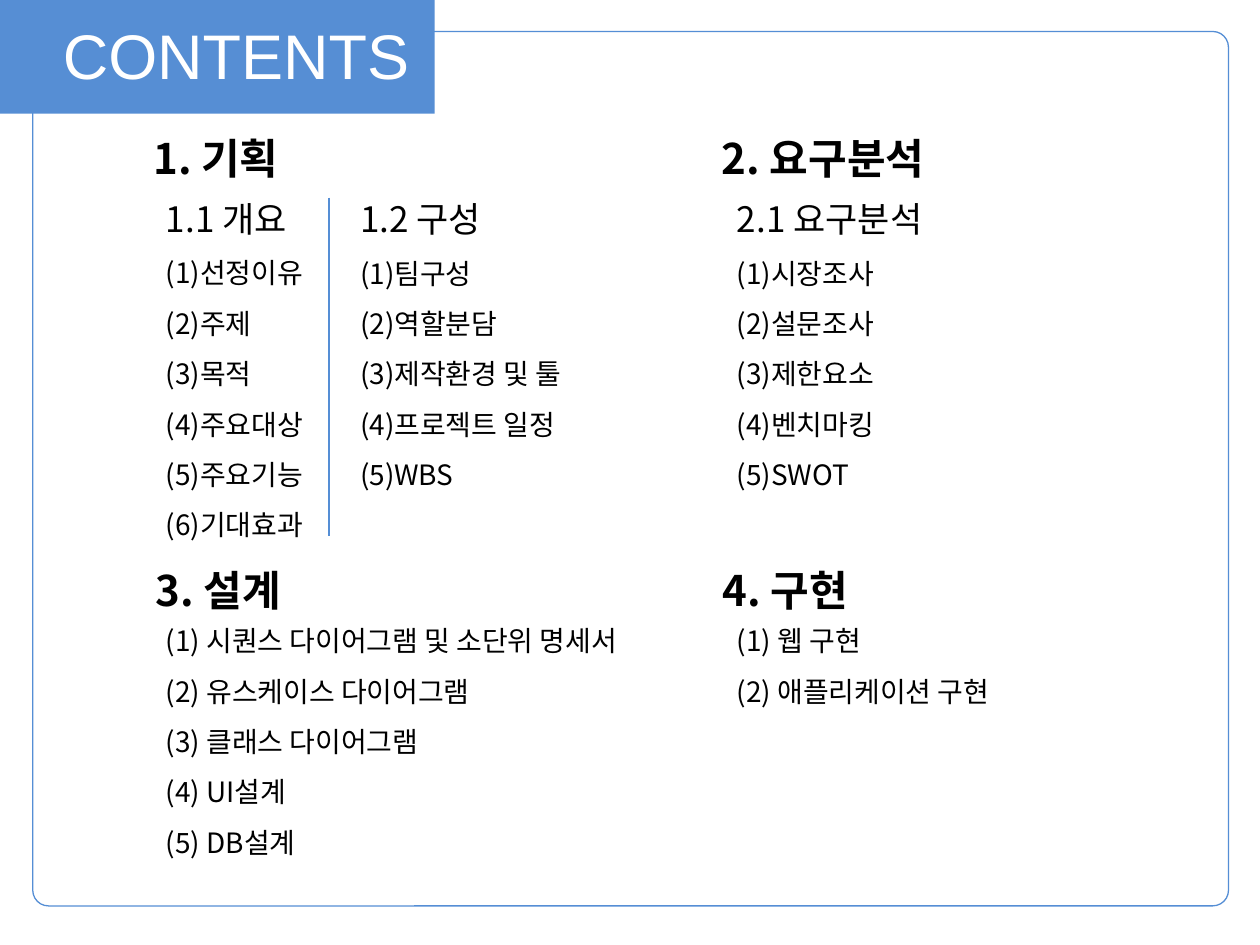
from pptx import Presentation
from pptx.dml.color import RGBColor
from pptx.enum.shapes import MSO_CONNECTOR, MSO_SHAPE
from pptx.enum.text import MSO_AUTO_SIZE
from pptx.oxml.ns import qn
from pptx.util import Pt
from lxml import etree

RECT = MSO_SHAPE.RECTANGLE
ROUNDED = MSO_SHAPE.ROUNDED_RECTANGLE
STRAIGHT = MSO_CONNECTOR.STRAIGHT
GROW = MSO_AUTO_SIZE.SHAPE_TO_FIT_TEXT

BLUE = RGBColor(0x56, 0x8E, 0xD4)
LINE_BLUE = RGBColor(0x55, 0x8E, 0xD5)
WHITE = RGBColor(0xFF, 0xFF, 0xFF)
BLACK = RGBColor(0, 0, 0)
KOREAN = "Noto Sans CJK KR"

prs = Presentation()
prs.slide_width, prs.slide_height = Pt(720), Pt(540)
slide = prs.slides.add_slide(prs.slide_layouts[6])
shapes = slide.shapes


def add_text(left, top, width, height, lines, font=KOREAN, color=BLACK, bold=None, spacing=1.5):
    """Add a text box; lines holds (text, size) pairs, one per paragraph."""
    frame = shapes.add_textbox(Pt(left), Pt(top), Pt(width), Pt(height)).text_frame
    frame.word_wrap = True
    frame.auto_size = GROW
    for i, (text, size) in enumerate(lines):
        paragraph = frame.add_paragraph() if i else frame.paragraphs[0]
        paragraph.text = text
        paragraph.line_spacing = spacing
        paragraph.font.name = font
        paragraph.font.size = Pt(size)
        paragraph.font.bold = bold
        paragraph.font.color.rgb = color
        # East Asian typeface for the Hangul
        props = paragraph._p.pPr.find(qn("a:defRPr"))
        etree.SubElement(props, qn("a:ea"), typeface=font)


# Page border, white at 84 % opacity
border = shapes.add_shape(ROUNDED, Pt(18.7), Pt(18), Pt(683.3), Pt(499.7))
border.adjustments[0] = 0.018
border.shadow.inherit = False
border.fill.solid()
border.fill.fore_color.rgb = WHITE
white = border._element.spPr.find(qn("a:solidFill"))[0]
etree.SubElement(white, qn("a:alpha"), val="84000")
border.line.color.rgb = LINE_BLUE
border.line.width = Pt(0.75)

# Title banner
banner = shapes.add_shape(RECT, Pt(0), Pt(-2), Pt(248.4), Pt(67))
banner.shadow.inherit = False
banner.fill.solid()
banner.fill.fore_color.rgb = BLUE
banner.line.fill.background()
add_text(28.8, 5.8, 222.5, 51, [("CONTENTS", 36)], font="Arial", color=WHITE, spacing=1)

# Chapter headings
for left, top, chapter in [
    (80.6, 57.6, "1. 기획"),
    (405.4, 57.6, "2. 요구분석"),
    (82, 304.6, "3. 설계"),
    (406, 304.6, "4. 구현"),
]:
    add_text(left, top, 444.2, 51, [(chapter, 24)], bold=True)

# Section lists: left, top, width, height, section title, items
UPPER, LOWER = 97.2, 343.4
for left, top, width, height, section, items in [
    (87.8, UPPER, 254.2, 218.2, "1.1 개요",
     ["(1)선정이유", "(2)주제", "(3)목적", "(4)주요대상", "(5)주요기능", "(6)기대효과"]),
    (198.7, UPPER, 234, 188.6, "1.2 구성",
     ["(1)팀구성", "(2)역할분담", "(3)제작환경 및 툴", "(4)프로젝트 일정", "(5)WBS"]),
    (414, UPPER, 580.3, 188.6, "2.1 요구분석",
     ["(1)시장조사", "(2)설문조사", "(3)제한요소", "(4)벤치마킹", "(5)SWOT"]),
    (87.8, LOWER, 580.3, 149, None,
     ["(1) 시퀀스 다이어그램 및 소단위 명세서", "(2) 유스케이스 다이어그램",
      "(3) 클래스 다이어그램", "(4) UI설계", "(5) DB설계"]),
    (414, LOWER, 580.3, 61.9, None, ["(1) 웹 구현", "(2) 애플리케이션 구현"]),
]:
    heading = [(section, 20)] if section else []
    add_text(left, top, width, height, heading + [(item, 16) for item in items])

# Divider between sections 1.1 and 1.2
divider = shapes.add_connector(STRAIGHT, Pt(188), Pt(113), Pt(188), Pt(306))
divider.line.color.rgb = LINE_BLUE
divider.line.width = Pt(0.75)
etree.SubElement(divider._element.spPr, qn("a:effectLst"))

prs.save("out.pptx")
